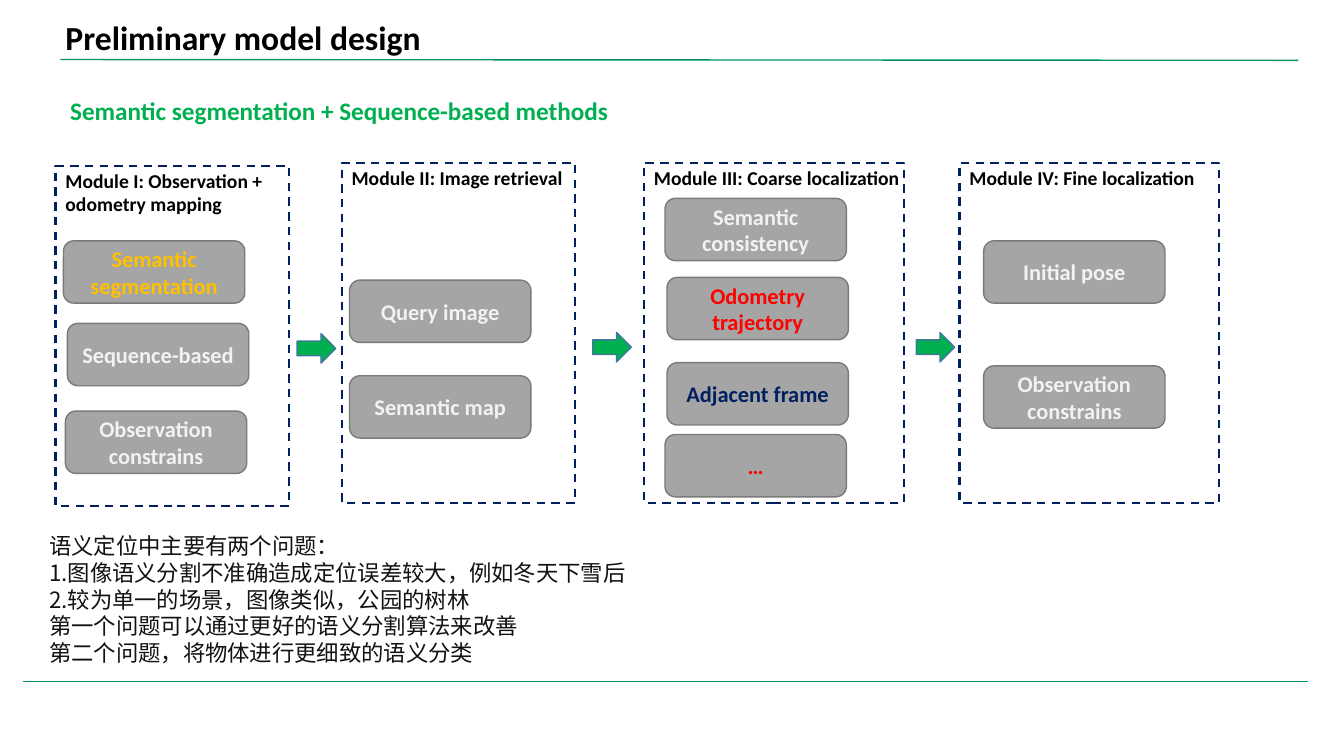
from dataclasses import dataclass

from lxml.etree import SubElement
from pptx import Presentation
from pptx.dml.color import RGBColor
from pptx.enum.dml import MSO_LINE_DASH_STYLE as Dash
from pptx.enum.shapes import MSO_CONNECTOR as Connector, MSO_SHAPE as Preset
from pptx.enum.text import MSO_ANCHOR as Anchor, PP_ALIGN as Align
from pptx.oxml.ns import qn
from pptx.shapes.autoshape import Shape
from pptx.slide import Slide
from pptx.text.text import TextFrame
from pptx.util import Cm, Pt

BLACK = RGBColor(0x00, 0x00, 0x00)
INK = RGBColor(0x12, 0x12, 0x12)
NAVY = RGBColor(0x00, 0x20, 0x60)
RED = RGBColor(0xFF, 0x00, 0x00)
GOLD = RGBColor(0xFF, 0xC0, 0x00)
PALE = RGBColor(0xF2, 0xF2, 0xF2)
GREY = RGBColor(0xA5, 0xA5, 0xA5)
GREY_EDGE = RGBColor(0x7A, 0x7A, 0x7A)
GREEN = RGBColor(0x00, 0xB0, 0x50)
ARROW_EDGE = RGBColor(0x43, 0x73, 0x9E)
RULE_GREEN = RGBColor(0x00, 0x92, 0x5F)

FONT = "Calibri"
FRAME_HEIGHT = 8.56
STEP_SIZE = (4.57, 1.57)
ARROW_SIZE = (0.97, 0.74)


@dataclass
class Step:
    text: str
    left: float
    top: float
    color: RGBColor = PALE


@dataclass
class Module:
    title: str
    left: float
    top: float
    width: float
    title_width: float
    steps: list[Step]


MODULES = [
    Module("Module I: Observation + odometry mapping", 1.4, 4.19, 5.89, 5.66, [
        Step("Semantic segmentation", 1.6, 6.07, GOLD),
        Step("Sequence-based", 1.7, 8.15),
        Step("Observation constrains", 1.65, 10.36),
    ]),
    Module("Module II: Image retrieval", 8.61, 4.11, 5.89, 5.89, [
        Step("Query image", 8.81, 7.06),
        Step("Semantic map", 8.81, 9.47),
    ]),
    Module("Module III: Coarse localization", 16.23, 4.11, 6.55, 6.83, [
        Step("Semantic consistency", 16.76, 5.0),
        Step("Odometry trajectory", 16.81, 6.99, RED),
        Step("Adjacent frame", 16.81, 9.14, NAVY),
        Step("…", 16.76, 10.95, RED),
    ]),
    Module("Module IV: Fine localization", 24.18, 4.11, 6.55, 6.2, [
        Step("Initial pose", 24.79, 6.07),
        Step("Observation constrains", 24.79, 9.22),
    ]),
]
ARROWS = [(7.49, 8.41), (14.94, 8.38), (23.09, 8.38)]
RULES = [(1.52, 1.5, 32.72, 1.52), (0.58, 17.17, 32.97, 17.17)]
NOTES = [
    "语义定位中主要有两个问题：",
    "图像语义分割不准确造成定位误差较大，例如冬天下雪后",
    "较为单一的场景，图像类似，公园的树林",
    "第一个问题可以通过更好的语义分割算法来改善",
    "第二个问题，将物体进行更细致的语义分类",
]
NUMBERED_NOTES = (1, 2)


def write_text(frame: TextFrame, *lines: str, size: float, color: RGBColor,
               bold: bool = True, align: Align = Align.LEFT, wrap: bool = True,
               numbered: tuple[int, ...] = ()) -> None:
    frame.word_wrap = wrap
    for index, line in enumerate(lines):
        paragraph = frame.paragraphs[0] if index == 0 else frame.add_paragraph()
        paragraph.alignment = align
        if index in numbered:
            properties = paragraph._p.get_or_add_pPr()
            properties.set("marL", "0")
            properties.set("indent", "0")
            SubElement(properties, qn("a:buAutoNum"), type="arabicPeriod")
        run = paragraph.add_run()
        run.text = line
        run.font.name = FONT
        run.font.size = Pt(size)
        run.font.bold = bold
        run.font.color.rgb = color


def add_text_box(slide: Slide, left: float, top: float, width: float,
                 height: float) -> TextFrame:
    return slide.shapes.add_textbox(Cm(left), Cm(top), Cm(width), Cm(height)).text_frame


def add_preset(slide: Slide, preset: Preset, left: float, top: float,
               width: float, height: float, edge: RGBColor,
               fill: RGBColor | None = None, edge_width: float = 1) -> Shape:
    shape = slide.shapes.add_shape(preset, Cm(left), Cm(top), Cm(width), Cm(height))
    shape.shadow.inherit = False
    if fill is None:
        shape.fill.background()
    else:
        shape.fill.solid()
        shape.fill.fore_color.rgb = fill
    shape.line.color.rgb = edge
    shape.line.width = Pt(edge_width)
    return shape


def add_rule(slide: Slide, *ends: float) -> None:
    rule = slide.shapes.add_connector(Connector.STRAIGHT, *map(Cm, ends))
    rule.line.color.rgb = RULE_GREEN
    rule.line.width = Pt(1)
    SubElement(rule._element.spPr, qn("a:effectLst"))


def add_step(slide: Slide, step: Step) -> None:
    shape = add_preset(slide, Preset.ROUNDED_RECTANGLE, step.left, step.top,
                       *STEP_SIZE, edge=GREY_EDGE, fill=GREY)
    shape.text_frame.vertical_anchor = Anchor.MIDDLE
    write_text(shape.text_frame, step.text, size=16, color=step.color, align=Align.CENTER)


def add_module(slide: Slide, module: Module) -> None:
    frame = add_preset(slide, Preset.RECTANGLE, module.left, module.top, module.width,
                       FRAME_HEIGHT, edge=NAVY, edge_width=1.5)
    frame.line.dash_style = Dash.DASH
    title = add_text_box(slide, module.left, module.top - 0.06, module.title_width, 0.86)
    write_text(title, module.title, size=14, color=BLACK)
    for step in module.steps:
        add_step(slide, step)


def main() -> None:
    presentation = Presentation()
    presentation.slide_width = Cm(33.87)
    presentation.slide_height = Cm(19.05)
    slide = presentation.slides.add_slide(presentation.slide_layouts[6])

    # Rules and headings
    for ends in RULES:
        add_rule(slide, *ends)
    write_text(add_text_box(slide, 1.4, 0.3, 12.95, 1.27),
               "Preliminary model design", size=24, color=BLACK)
    write_text(add_text_box(slide, 1.52, 2.29, 14.15, 1.02),
               "Semantic segmentation + Sequence-based methods",
               size=18, color=GREEN, wrap=False)

    # Pipeline of modules
    for module in MODULES:
        add_module(slide, module)
    for left, top in ARROWS:
        add_preset(slide, Preset.RIGHT_ARROW, left, top, *ARROW_SIZE,
                   edge=ARROW_EDGE, fill=GREEN)

    # Notes on the two problems
    write_text(add_text_box(slide, 0.99, 13.28, 16.94, 3.76), *NOTES,
               size=16, color=INK, bold=False, numbered=NUMBERED_NOTES)

    presentation.save("out.pptx")


if __name__ == "__main__":
    main()
